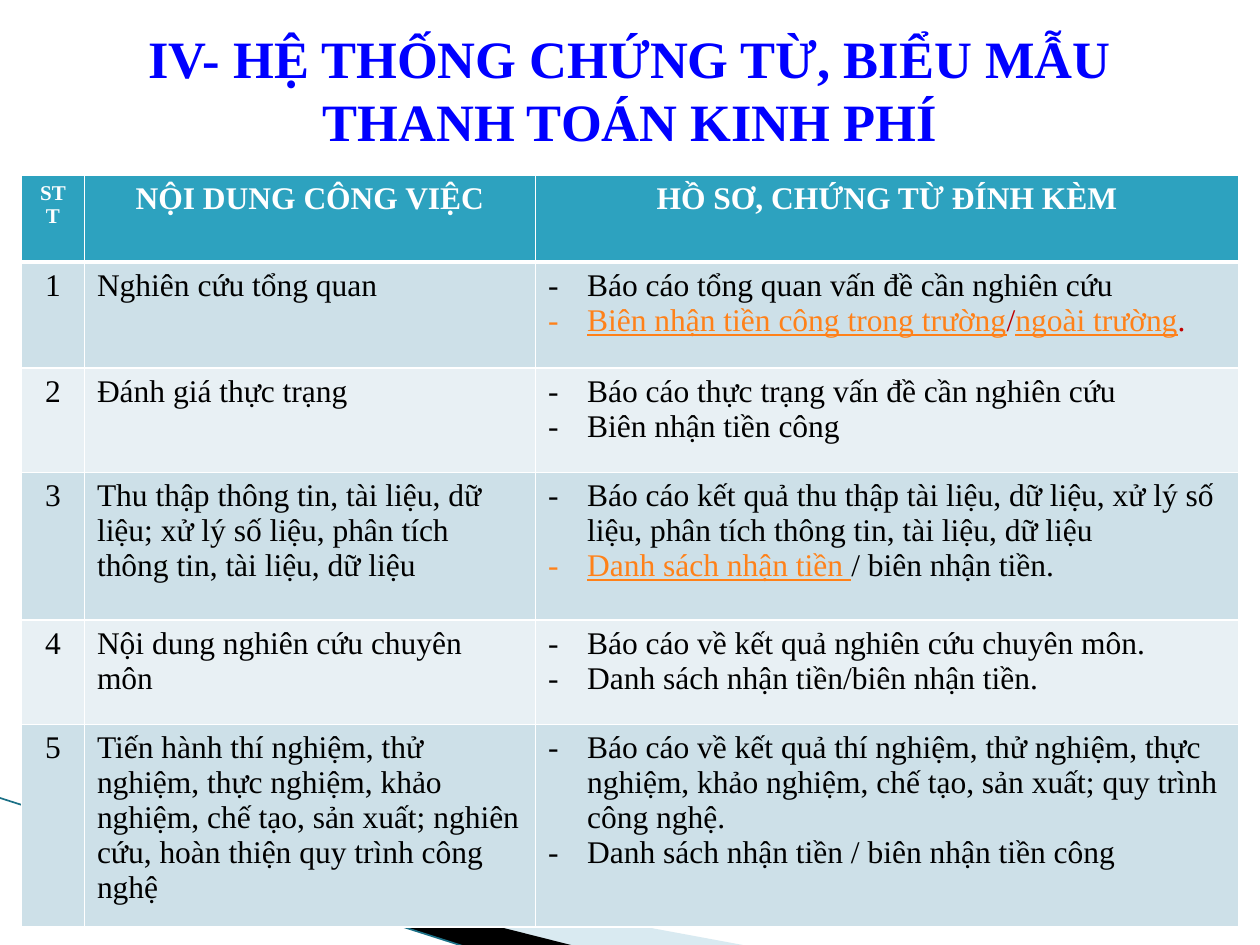
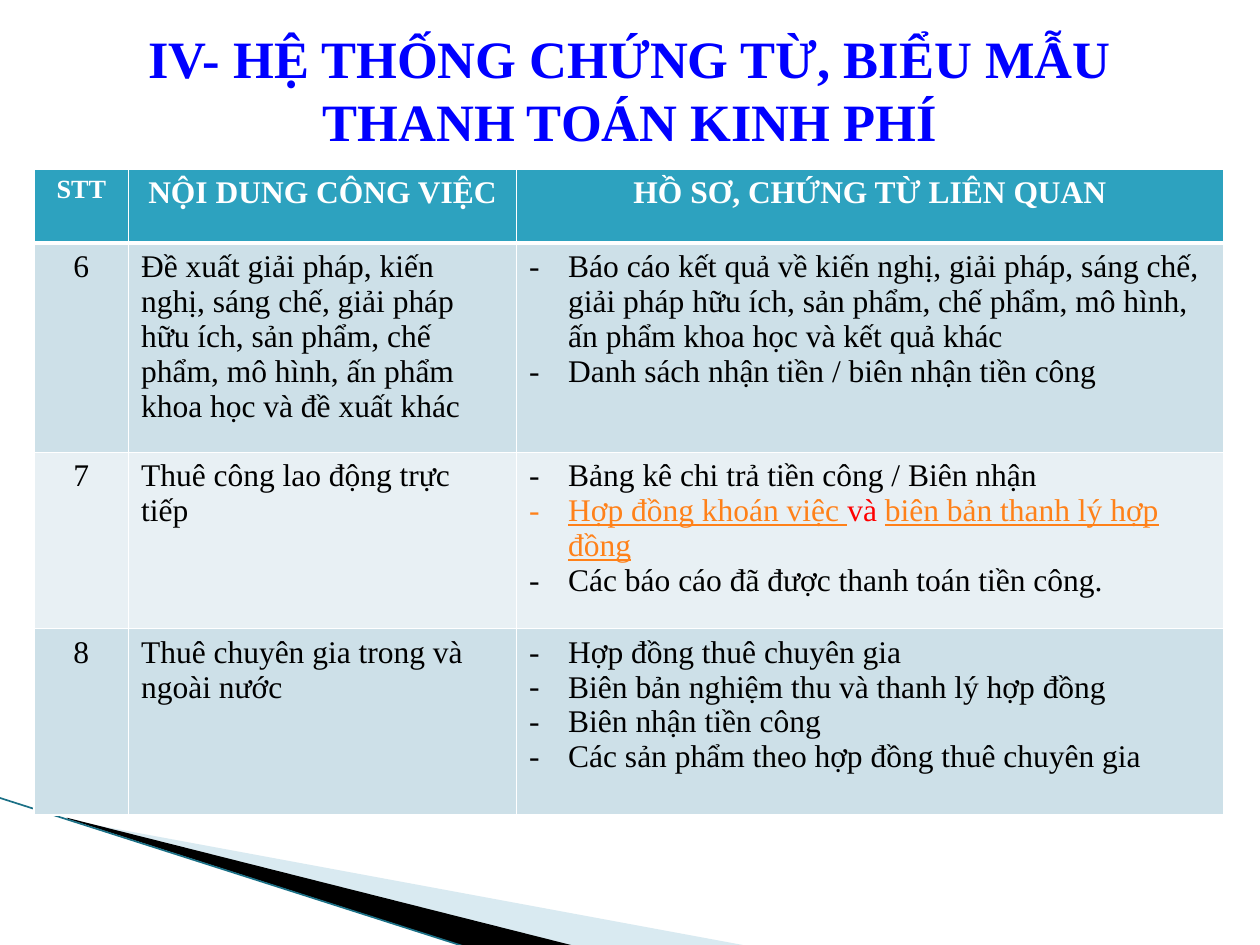
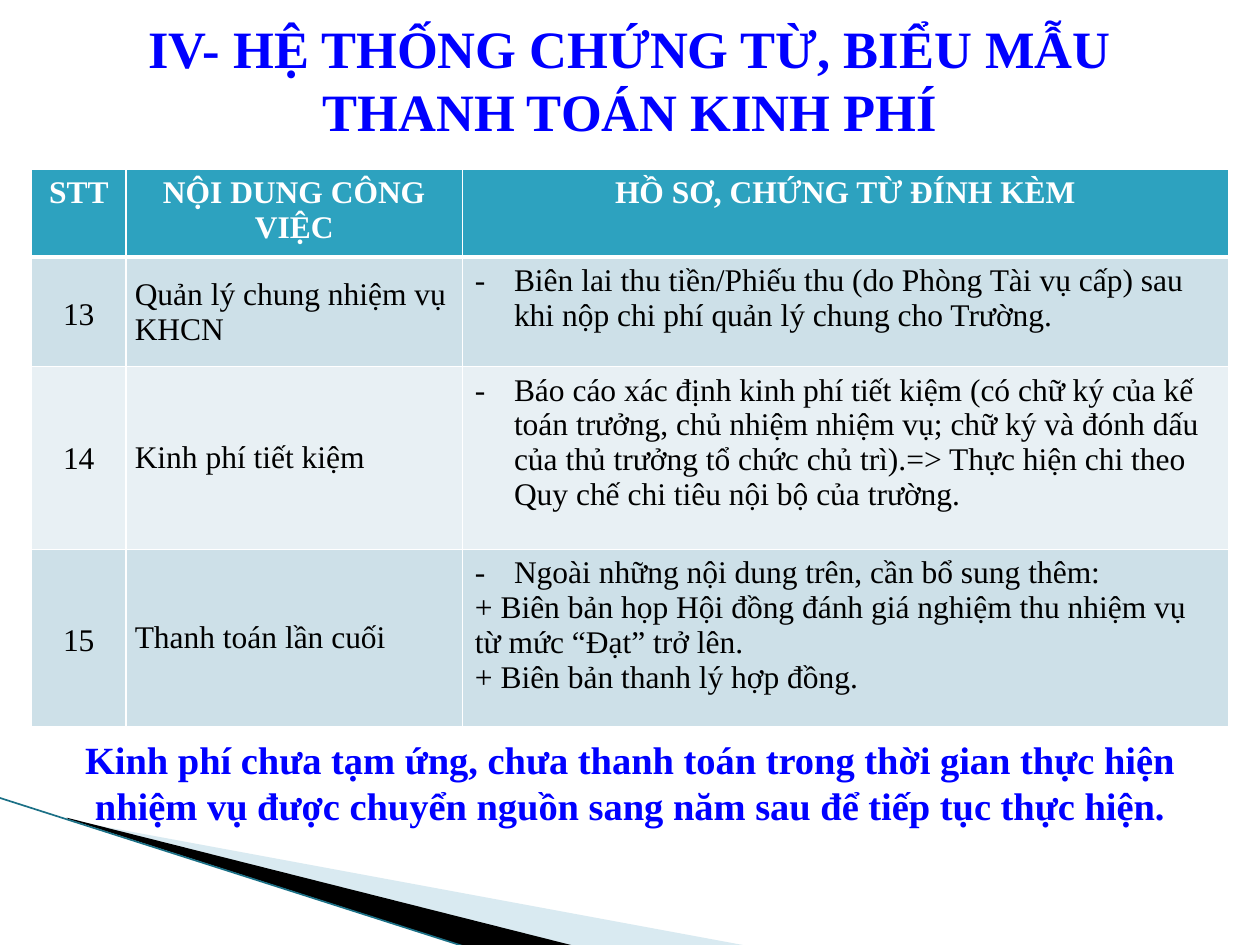
"""Three slides of payment documents: a shared title, a corner decoration and a table each."""
from lxml import etree
from pptx import Presentation
from pptx import util as u
from pptx.dml.color import RGBColor
from pptx.enum import shapes, text
from pptx.oxml import ns

COLORS = {
    "heading": "0000FF", "header": "2DA2BF", "odd": "CDE0E8", "even": "E8F0F4",
    "white": "FFFFFF", "ink": "000000", "link": "FF8119", "dark_red": "C00000",
    "red": "FF0000", "pale": "A0CBDC", "edge": "1B7086",
}
FONT = "Times New Roman"
BODY_SIZE = 18
LINE_HEIGHT = 0.27
HANGING = 0.31
PLAIN = "+"

TITLE = "IV- HỆ THỐNG CHỨNG TỪ, BIỂU MẪU THANH TOÁN KINH PHÍ"
WORK = "NỘI DUNG CÔNG VIỆC"
ATTACHED = "HỒ SƠ, CHỨNG TỪ ĐÍNH KÈM"
RELATED = "HỒ SƠ, CHỨNG TỪ LIÊN QUAN"
CARRY_OVER = ("Kinh phí chưa tạm ứng, chưa thanh toán trong thời gian thực hiện "
              "nhiệm vụ được chuyển nguồn sang năm sau để tiếp tục thực hiện.")

WEDGES = [
    ("pale", 40, [(0.55, 6.51), (5.95, 7.51), (4.56, 7.51), (0.55, 6.5)]),
    ("ink", 100, [(0.53, 6.49), (4.57, 7.51), (3.72, 7.52), (0.54, 6.5)]),
]
EDGE = [(-0.01, 6.33), (3.71, 7.52)]

SLIDES = [
    {
        "title_top": 0.08, "table_at": (0.17, 1.39), "stt_size": 12,
        "columns": [0.5, 3.58, 5.58], "heights": [0.69, 0.84, 0.83, 1.17, 0.83, 1.61],
        "headings": ["STT", WORK, ATTACHED],
        "rows": [
            ("1", "Nghiên cứu tổng quan", [
                "Báo cáo tổng quan vấn đề cần nghiên cứu",
                [("Biên nhận tiền công trong trường", "link"), ("/", "dark_red"),
                 ("ngoài trường", "link"), (".", "dark_red")]]),
            ("2", "Đánh giá thực trạng", [
                "Báo cáo thực trạng vấn đề cần nghiên cứu",
                "Biên nhận tiền công"]),
            ("3", "Thu thập thông tin, tài liệu, dữ liệu; xử lý số liệu, phân tích "
                  "thông tin, tài liệu, dữ liệu", [
                "Báo cáo kết quả thu thập tài liệu, dữ liệu, xử lý số liệu, phân tích "
                "thông tin, tài liệu, dữ liệu",
                [("Danh sách nhận tiền ", "link"), ("/ biên nhận tiền.", "ink")]]),
            ("4", "Nội dung nghiên cứu chuyên môn", [
                "Báo cáo về kết quả nghiên cứu chuyên môn.",
                "Danh sách nhận tiền/biên nhận tiền."]),
            ("5", "Tiến hành thí nghiệm, thử nghiệm, thực nghiệm, khảo nghiệm, chế tạo, "
                  "sản xuất; nghiên cứu, hoàn thiện quy trình công nghệ", [
                "Báo cáo về kết quả thí nghiệm, thử nghiệm, thực nghiệm, khảo nghiệm, "
                "chế tạo, sản xuất; quy trình công nghệ.",
                "Danh sách nhận tiền / biên nhận tiền công"]),
        ],
    },
    {
        "title_top": 0.08, "table_at": (0.27, 1.34), "stt_size": 15,
        "columns": [0.75, 3.08, 5.61], "heights": [0.59, 1.66, 1.4, 1.48],
        "headings": ["STT", WORK, RELATED],
        "rows": [
            ("6", "Đề xuất giải pháp, kiến nghị, sáng chế, giải pháp hữu ích, sản phẩm, "
                  "chế phẩm, mô hình, ấn phẩm khoa học và đề xuất khác", [
                "Báo cáo kết quả về kiến nghị, giải pháp, sáng chế, giải pháp hữu ích, "
                "sản phẩm, chế phẩm, mô hình, ấn phẩm khoa học và kết quả khác",
                "Danh sách nhận tiền / biên nhận tiền công"]),
            ("7", "Thuê công lao động trực tiếp", [
                "Bảng kê chi trả tiền công / Biên nhận",
                [("Hợp đồng khoán việc ", "link"), ("và ", "red"),
                 ("biên bản thanh lý hợp đồng", "link")],
                "Các báo cáo đã được thanh toán tiền công."]),
            ("8", "Thuê chuyên gia trong và ngoài nước", [
                "Hợp đồng thuê chuyên gia",
                "Biên bản nghiệm thu và thanh lý hợp đồng",
                "Biên nhận tiền công",
                "Các sản phẩm theo hợp đồng thuê chuyên gia"]),
        ],
    },
    {
        "title_top": 0, "table_at": (0.25, 1.34), "stt_size": 18,
        "columns": [0.75, 2.67, 6.08], "heights": [0.69, 0.87, 1.45, 1.41],
        "headings": ["STT", WORK, ATTACHED],
        "lines_above_number": [1, 2, 2],
        "closing": CARRY_OVER,
        "rows": [
            ("13", "Quản lý chung nhiệm vụ KHCN", [
                "Biên lai thu tiền/Phiếu thu (do Phòng Tài vụ cấp) sau khi nộp chi phí "
                "quản lý chung cho Trường."]),
            ("14", "Kinh phí tiết kiệm", [
                "Báo cáo xác định kinh phí tiết kiệm (có chữ ký của kế toán trưởng, chủ "
                "nhiệm nhiệm vụ; chữ ký và đónh dấu của thủ trưởng tổ chức chủ trì).=> "
                "Thực hiện chi theo Quy chế chi tiêu nội bộ của trường."]),
            ("15", "Thanh toán lần cuối", [
                "Ngoài những nội dung trên, cần bổ sung thêm:",
                "+ Biên bản họp Hội đồng đánh giá nghiệm thu nhiệm vụ từ mức “Đạt” trở lên.",
                "+ Biên bản thanh lý hợp đồng."]),
        ],
    },
]


def rgb(name):
    return RGBColor.from_string(COLORS[name])


def add_xml(parent, tag, **attributes):
    return etree.SubElement(parent, ns.qn(tag), attributes)


def write(paragraph, content, size=BODY_SIZE, color="ink", bold=False, centred=False):
    if centred:
        paragraph.alignment = text.PP_ALIGN.CENTER
    pieces = [(content, color)] if isinstance(content, str) else content
    for words, tone in pieces:
        run = paragraph.add_run()
        run.text = words
        look = {"name": FONT, "size": u.Pt(size), "bold": bold,
                "underline": True if tone == "link" else None}
        for key, value in look.items():
            setattr(run.font, key, value)
        run.font.color.rgb = rgb(tone)


def hang_dash(paragraph):
    properties = paragraph._p.get_or_add_pPr()
    properties.set("marL", str(u.Inches(HANGING)))
    properties.set("indent", str(-u.Inches(HANGING)))
    add_xml(properties, "a:buFont", typeface=FONT)
    add_xml(properties, "a:buChar", char="-")


def paint(cell, fill, bottom=1):
    properties = cell._tc.get_or_add_tcPr()
    for side, width in {"L": 1, "R": 1, "T": 1, "B": bottom}.items():
        border = add_xml(properties, f"a:ln{side}", w=str(u.Pt(width)))
        add_xml(add_xml(border, "a:solidFill"), "a:srgbClr", val=COLORS["white"])
    cell.fill.solid()
    cell.fill.fore_color.rgb = rgb(fill)


def add_heading(slide, words, top, size):
    box = slide.shapes.add_textbox(*map(u.Inches, (0.5, top, 9, 1.25)))
    frame = box.text_frame
    frame.word_wrap = True
    frame.vertical_anchor = text.MSO_ANCHOR.MIDDLE
    write(frame.paragraphs[0], words, size, "heading", bold=True, centred=True)


def add_corner(slide):
    for color, opacity, corners in WEDGES:
        points = [(u.Inches(x), u.Inches(y)) for x, y in corners]
        builder = slide.shapes.build_freeform(*points[0])
        builder.add_line_segments(points[1:], close=True)
        wedge = builder.convert_to_shape()
        wedge.shadow.inherit = False
        wedge.line.fill.background()
        wedge.fill.solid()
        wedge.fill.fore_color.rgb = rgb(color)
        if opacity < 100:
            tint = wedge._element.spPr.find(".//" + ns.qn("a:srgbClr"))
            add_xml(tint, "a:alpha", val=str(opacity * 1000))
    ends = [u.Inches(n) for point in EDGE for n in point]
    edge = slide.shapes.add_connector(shapes.MSO_CONNECTOR.STRAIGHT, *ends)
    edge.line.color.rgb = rgb("edge")
    edge.line.width = u.Pt(0.95)
    add_xml(edge._element.spPr, "a:effectLst")


def add_documents(slide, plan):
    columns, heights = plan["columns"], plan["heights"]
    extent = (*plan["table_at"], sum(columns), sum(heights))
    table = slide.shapes.add_table(len(heights), len(columns), *map(u.Inches, extent)).table
    for column, width in zip(table.columns, columns):
        column.width = u.Inches(width)
    for row, height in zip(table.rows, heights):
        row.height = u.Inches(height)

    sizes = [plan["stt_size"], BODY_SIZE, BODY_SIZE]
    for cell, words, size in zip(table.rows[0].cells, plan["headings"], sizes):
        paint(cell, "header", bottom=3)
        write(cell.text_frame.paragraphs[0], words, size, "white", bold=True, centred=True)

    drops = plan.get("lines_above_number")
    for index, (number, work, documents) in enumerate(plan["rows"]):
        cells = list(table.rows[index + 1].cells)
        for cell in cells:
            paint(cell, "even" if index % 2 else "odd")
        write(cells[0].text_frame.paragraphs[0], number, centred=True)
        write(cells[1].text_frame.paragraphs[0], work)
        if drops:
            cells[0].margin_top = u.Inches(0.05 + drops[index] * LINE_HEIGHT)
            layout = {"vertical_anchor": text.MSO_ANCHOR.MIDDLE,
                      "margin_left": u.Inches(0.07), "margin_right": u.Inches(0.07),
                      "margin_top": 0, "margin_bottom": 0}
            for key, value in layout.items():
                setattr(cells[1], key, value)
            cells[1].text_frame.paragraphs[0].space_before = u.Pt(6)
        frame = cells[2].text_frame
        for position, document in enumerate(documents):
            paragraph = frame.add_paragraph() if position else frame.paragraphs[0]
            if document[0] != PLAIN:
                hang_dash(paragraph)
            write(paragraph, document)


deck = Presentation()
deck.slide_width, deck.slide_height = u.Inches(10), u.Inches(7.5)
for plan in SLIDES:
    slide = deck.slides.add_slide(deck.slide_layouts[6])
    add_corner(slide)
    add_heading(slide, TITLE, plan["title_top"], 30)
    add_documents(slide, plan)
    if "closing" in plan:
        add_heading(slide, plan["closing"], 5.58, 22)
deck.save("out.pptx")
